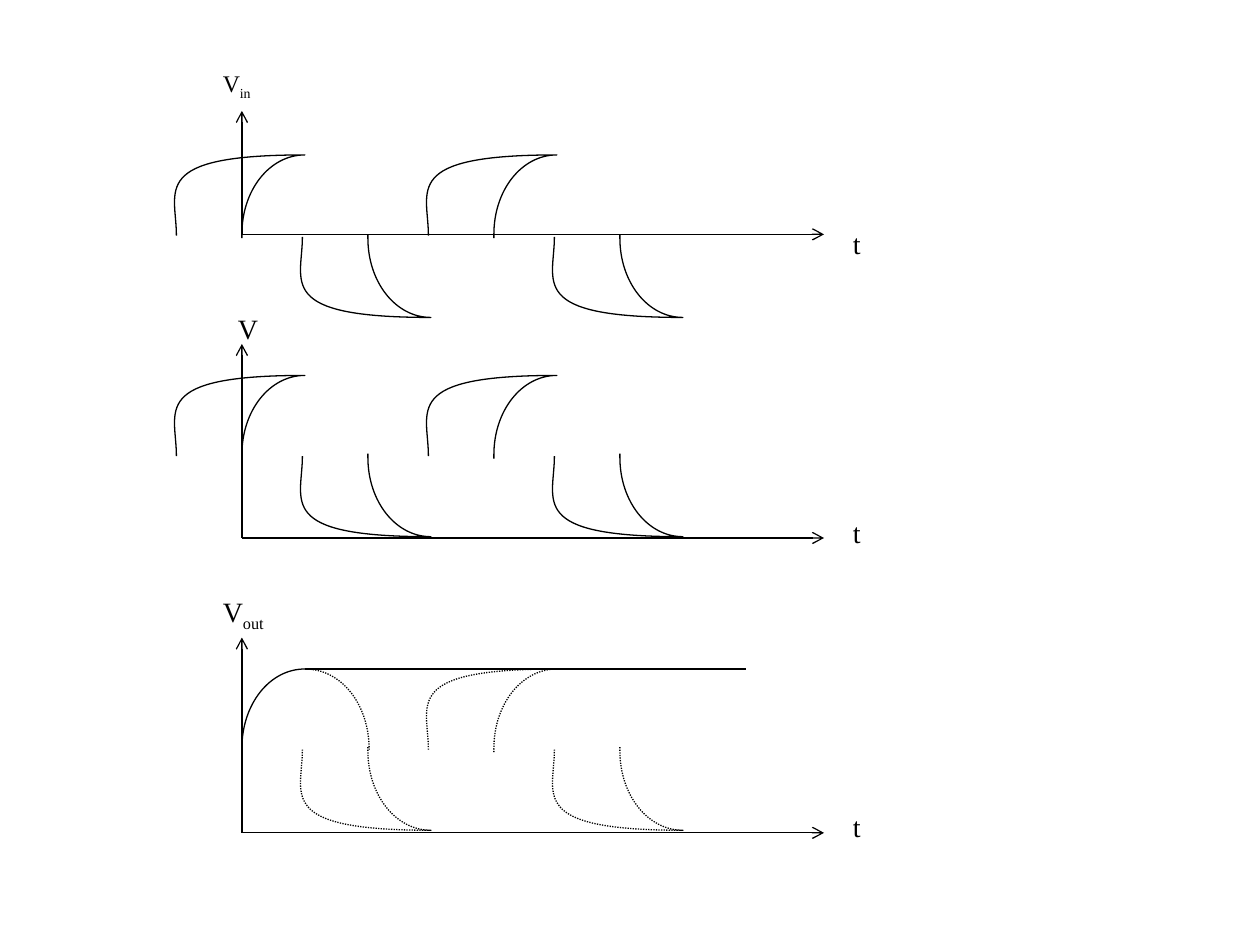
import lxml.etree
import pptx
import pptx.dml.color
import pptx.enum.dml
import pptx.enum.shapes
import pptx.oxml.ns
import pptx.util

COLUMNS, ROWS = 10, 7.5
ORIGIN, AXIS_END, LABEL_LEFT = 1.92, 6.54, 6.67
PERIOD = 2
RISE = [(0, 0.66), (0, 0.65), (0, 0.64), (0, 0.63), (0, 0.28), (0.22, 0), (0.5, 0)]
WAVE = RISE + [(-0.74, 0), (-0.52, 0.28), (-0.52, 0.64)]
DECAY = [(0, 0), (0.29, 0), (0.51, 0.28), (0.51, 0.64)]


def color(value):
    return pptx.dml.color.RGBColor.from_string(value)


def add_element(parent, tag, **attributes):
    element = lxml.etree.SubElement(parent, pptx.oxml.ns.qn("a:" + tag))
    for name, value in attributes.items():
        element.set(name, str(value))
    return element


class Sketch:
    font = "Times New Roman"
    ink = "000000"
    line_width = 0.75

    def __init__(self, presentation):
        self.slide = presentation.slides.add_slide(presentation.slide_layouts[6])
        self.column = presentation.slide_width / COLUMNS
        self.row = presentation.slide_height / ROWS
        self.shapes = self.slide.shapes

    def start_group(self):
        self.shapes = self.slide.shapes.add_group_shape().shapes

    def place(self, x, y):
        return round(x * self.column), round(y * self.row)

    def style_line(self, shape, dotted=False):
        shape.line.color.rgb = color(self.ink)
        shape.line.width = pptx.util.Pt(self.line_width)
        if dotted:
            shape.line.dash_style = pptx.enum.dml.MSO_LINE.ROUND_DOT

    def line(self, start, end, arrow_end=None):
        connector = self.shapes.add_connector(
            pptx.enum.shapes.MSO_CONNECTOR.STRAIGHT, *self.place(*start), *self.place(*end))
        self.style_line(connector)
        if arrow_end:
            add_element(connector.line._get_or_add_ln(), arrow_end, type="arrow")
        add_element(connector._element.spPr, "effectLst")

    def curve(self, controls, x, apex, width, direction=1, dotted=False):
        height = max(dy for dx, dy in controls)
        top = apex if direction == 1 else apex - height
        builder = self.shapes.build_freeform(*self.place(x, top))
        builder.add_line_segments(
            [self.place(x + width, top), self.place(x + width, top + height)], close=False)
        shape = builder.convert_to_shape()
        outline = next(shape._element.iter(pptx.oxml.ns.qn("a:path")))
        for segment in list(outline):
            outline.remove(segment)
        for index, (dx, dy) in enumerate(controls):
            if index == 0:
                segment = add_element(outline, "moveTo")
            elif index % 3 == 1:
                segment = add_element(outline, "cubicBezTo")
            left, down = self.place(dx, dy if direction == 1 else height - dy)
            add_element(segment, "pt", x=left, y=down)
        shape.shadow.inherit = False
        shape.fill.background()
        self.style_line(shape, dotted)

    def label(self, text, x, y, width, height, size=16, subscript="", spacing=1):
        box = self.shapes.add_textbox(*self.place(x, y), *self.place(width, height))
        box.text_frame.word_wrap = True
        paragraph = box.text_frame.paragraphs[0]
        paragraph.line_spacing = spacing
        for content in filter(None, (text, subscript)):
            run = paragraph.add_run()
            run.text = content
            run.font.name = self.font
            run.font.size = pptx.util.Pt(size)
            run.font.color.rgb = color(self.ink)
            if content == subscript:
                run.font._element.set("baseline", "-25000")

    def axes(self, top, base):
        self.line((ORIGIN, top), (ORIGIN, base), "headEnd")
        self.line((ORIGIN, base), (AXIS_END, base), "tailEnd")

    def waves(self, crest, trough, dotted=False):
        crests = [ORIGIN + PERIOD] if dotted else [ORIGIN, ORIGIN + PERIOD]
        for x in crests:
            self.curve(WAVE, x, crest, 1, dotted=dotted)
        for x in (ORIGIN + 1.5 * PERIOD, ORIGIN + 0.5 * PERIOD):
            self.curve(WAVE, x, trough, 1, -1, dotted)


def main():
    presentation = pptx.Presentation()
    presentation.slide_width = pptx.util.Inches(10)
    presentation.slide_height = pptx.util.Inches(7.5)
    sketch = Sketch(presentation)

    sketch.start_group()
    sketch.axes(0.88, 1.86)
    sketch.waves(1.23, 2.52)
    sketch.label("V", 1.67, 0.5, 0.63, 0.38, size=13.6, subscript="in", spacing=0.9)
    sketch.label("t", LABEL_LEFT, 1.75, 0.5, 0.38)

    sketch.start_group()
    sketch.axes(2.73, 4.27)
    sketch.waves(2.98, 4.26)
    sketch.label("V", 1.79, 2.42, 0.5, 0.5)
    sketch.label("t", LABEL_LEFT, 4.04, 0.5, 0.5)

    sketch.start_group()
    sketch.axes(5.06, 6.61)
    crest = 5.31
    sketch.curve(RISE, ORIGIN, crest, 0.5)
    sketch.waves(crest, 6.59, dotted=True)
    sketch.line((ORIGIN + 0.5, crest), (ORIGIN + 4, crest))
    sketch.curve(DECAY, ORIGIN + 0.5, crest, 0.51, dotted=True)
    sketch.label("V", 1.67, 4.67, 0.63, 0.5, subscript="out")
    sketch.label("t", LABEL_LEFT, 6.38, 0.38, 0.5)

    presentation.save("out.pptx")


if __name__ == "__main__":
    main()
